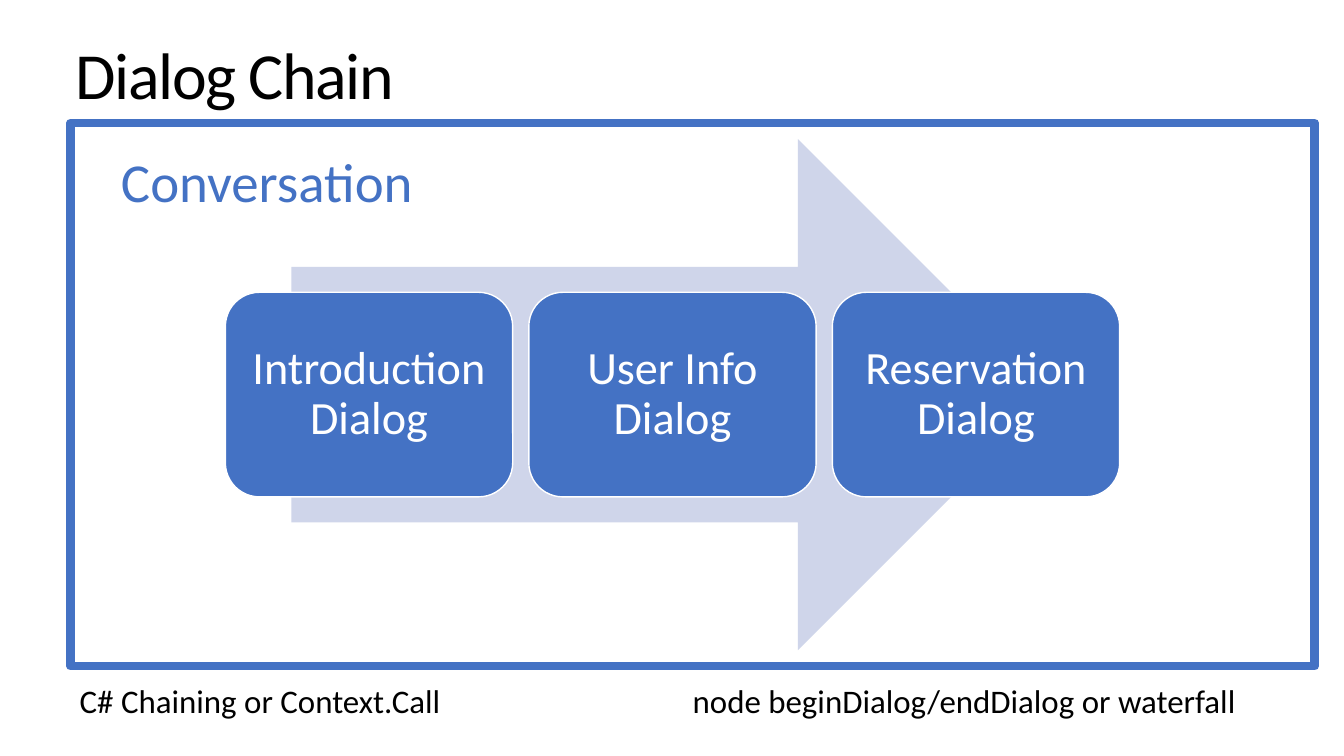
from dataclasses import dataclass

from pptx import Presentation
from pptx.dml.color import RGBColor
from pptx.enum.shapes import MSO_SHAPE as Shape
from pptx.enum.text import MSO_ANCHOR as Anchor, MSO_AUTO_SIZE as AutoSize, PP_ALIGN as Align
from pptx.util import Inches, Pt


@dataclass(frozen=True)
class Theme:
    font: str = "Calibri"
    blue: str = "4472C4"
    pale: str = "CFD5EA"
    white: str = "FFFFFF"
    black: str = "000000"
    title: float = 47
    heading: float = 39.2
    step: float = 33
    note: float = 23.5


THEME = Theme()


def write(frame, text, size, color, inset=(0.2, 0.16), wrap=False, align=Align.LEFT,
          anchor=Anchor.TOP, after=0, spacing=None):
    """Fill a text frame; inset is (sides, top and bottom) in inches, spacing is in points."""
    frame.word_wrap = wrap
    frame.auto_size = AutoSize.NONE if wrap else AutoSize.SHAPE_TO_FIT_TEXT
    frame.vertical_anchor = anchor
    frame.margin_left = frame.margin_right = Inches(inset[0])
    frame.margin_top = frame.margin_bottom = Inches(inset[1])
    para = frame.paragraphs[0]
    para.alignment = align
    para.line_spacing = 0.9
    para.space_after = Pt(after)
    span = para.add_run()
    span.text = text
    span.font.name = THEME.font
    span.font.size = Pt(size)
    span.font.color.rgb = RGBColor.from_string(color)
    if spacing is not None:
        span.font._element.set("spc", str(int(spacing * 100)))


def add_label(page, box, text, size, color, **text_format):
    label = page.shapes.add_textbox(*map(Inches, box))
    write(label.text_frame, text, size, color, **text_format)


def add_block(page, kind, box, fill=None, line=None, line_width=1):
    block = page.shapes.add_shape(kind, *map(Inches, box))
    block.shadow.inherit = False
    if fill:
        block.fill.solid()
        block.fill.fore_color.rgb = RGBColor.from_string(fill)
    else:
        block.fill.background()
    if line:
        block.line.color.rgb = RGBColor.from_string(line)
        block.line.width = Pt(line_width)
    else:
        block.line.fill.background()
    return block


def add_conversation(page, box, heading, steps):
    """Draw the framed conversation with its arrow and row of dialogs."""
    left, top, width, height = box
    add_block(page, Shape.RECTANGLE, box, line=THEME.blue, line_width=6)
    arrow_width, arrow_height = 7.56, 5.07
    arrow_left, arrow_top = left + 2.19, top + 0.16
    add_block(page, Shape.RIGHT_ARROW, (arrow_left, arrow_top, arrow_width, arrow_height),
              fill=THEME.pale)

    step_width, step_height, gap = 2.85, 2.03, 0.16
    row_width = len(steps) * (step_width + gap) - gap
    row_left = arrow_left + (arrow_width - row_width) / 2
    step_top = arrow_top + (arrow_height - step_height) / 2
    for index, name in enumerate(steps):
        step_left = row_left + index * (step_width + gap)
        step = add_block(page, Shape.ROUNDED_RECTANGLE,
                         (step_left, step_top, step_width, step_height),
                         fill=THEME.blue, line=THEME.white)
        write(step.text_frame, name, THEME.step, THEME.white, inset=(0.14, 0.14),
              wrap=True, align=Align.CENTER, anchor=Anchor.MIDDLE)

    add_label(page, (left + 0.3, top + 0.16, 3.32, 0.91), heading, THEME.heading,
              THEME.blue, after=5.9)


def add_notes_row(page, top, notes):
    """Place notes, each given as (left, width, text), along one line."""
    for left, width, text in notes:
        add_label(page, (left, top, width, 0.67), text, THEME.note, THEME.black, after=5.9)


def main():
    deck = Presentation()
    deck.slide_width, deck.slide_height = Inches(13.33), Inches(7.5)
    page = deck.slides.add_slide(deck.slide_layouts[6])
    add_conversation(page, (0.7, 1.22, 12.34, 5.39), "Conversation",
                     ["Introduction Dialog", "User Info Dialog", "Reservation Dialog"])
    add_label(page, (0.59, 0.32, 12.74, 0.98), "Dialog Chain", THEME.title, THEME.black,
              inset=(0.16, 0.1), wrap=True, spacing=-1)
    add_notes_row(page, 6.64, [
        (0.59, 4.02, "C# Chaining or Context.Call"),
        (6.67, 5.85, "node beginDialog/endDialog or waterfall"),
    ])
    deck.save("out.pptx")


if __name__ == "__main__":
    main()
